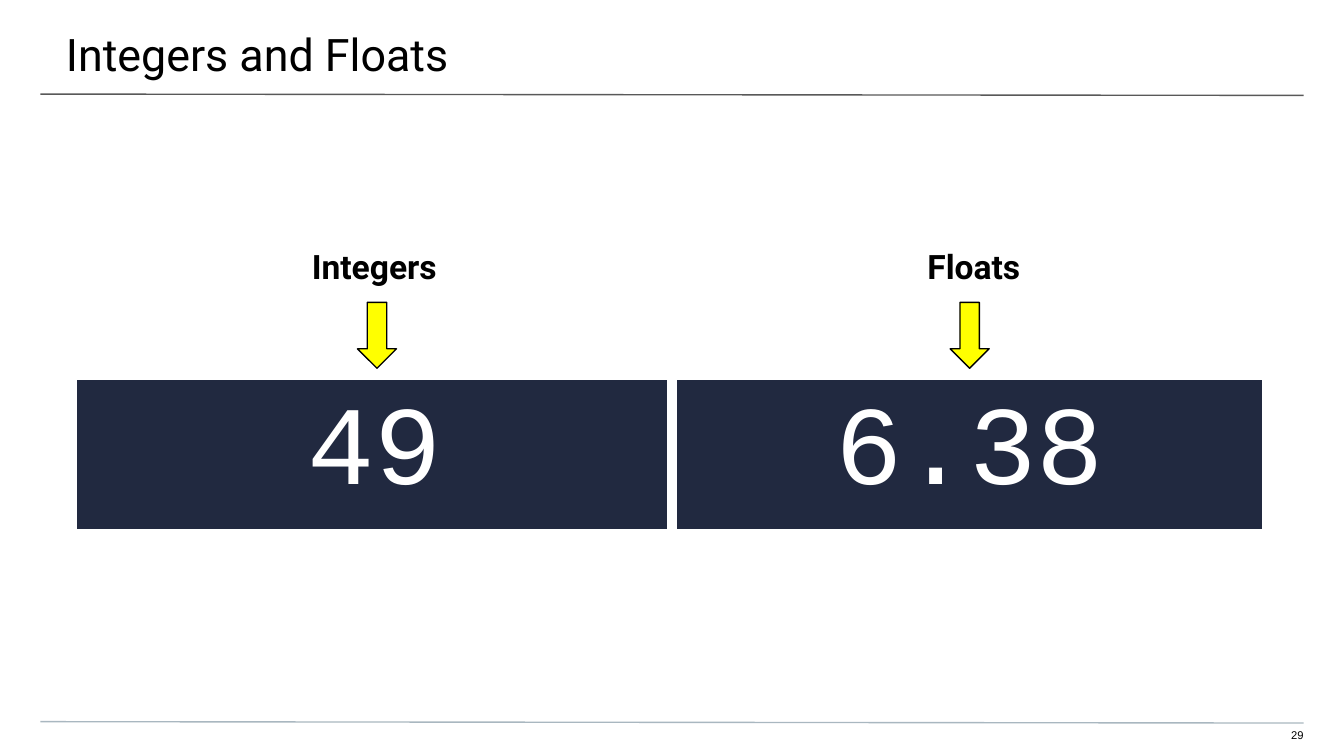
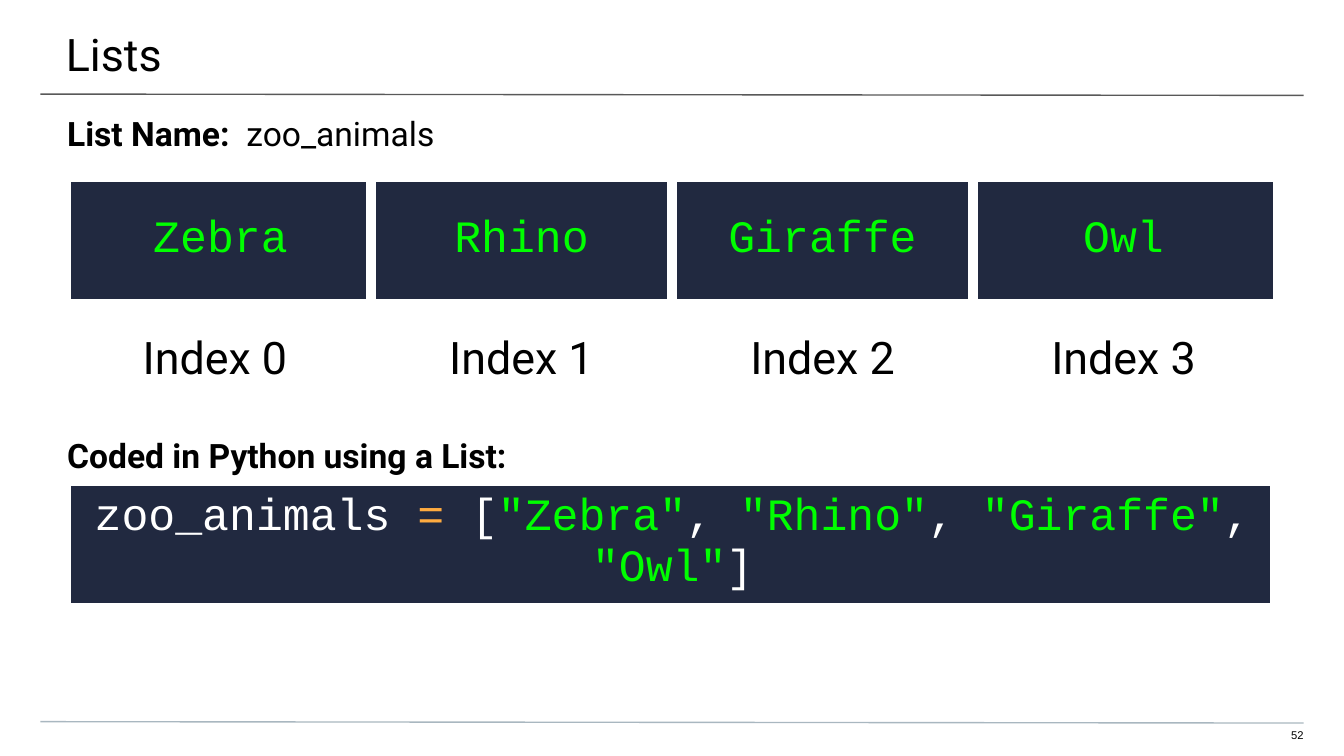
from dataclasses import dataclass
from typing import NamedTuple

from lxml import etree
from pptx import Presentation
from pptx import util as u
from pptx.dml.color import RGBColor
from pptx.enum import shapes, text
from pptx.oxml import ns

BLACK, WHITE, NAVY = "000000", "FFFFFF", "212940"
GREEN, ORANGE, YELLOW = "00FF00", "FFAB40", "FFFF00"
RULE_DARK, RULE_LIGHT = "595959", "A9B7C0"
SANS, MONO, PLAIN = "Roboto", "Courier New", "Arial"
THIN, GAP = 0.75, 6
LEFT, CENTER, RIGHT = text.PP_ALIGN.LEFT, text.PP_ALIGN.CENTER, text.PP_ALIGN.RIGHT
MIDDLE, BOTTOM = text.MSO_ANCHOR.MIDDLE, text.MSO_ANCHOR.BOTTOM


class Box(NamedTuple):
    left: float
    top: float
    width: float
    height: float


class Rule(NamedTuple):
    y: float
    color: str


@dataclass
class Run:
    text: str
    color: str = BLACK
    bold: bool = False


@dataclass
class CellStyle:
    size: float
    font: str = SANS
    anchor: object = MIDDLE
    top: float = 0
    bottom: float = 0
    fill: str | None = None


RULES = [Rule(0.7, RULE_DARK), Rule(5.37, RULE_LIGHT)]
HEADING = CellStyle(18, anchor=BOTTOM, top=0.1, bottom=0.68)
NUMBER = CellStyle(60, MONO, fill=NAVY)
CODE = CellStyle(24, MONO, fill=NAVY)
INDEX = CellStyle(24)


def rgb(color: str) -> RGBColor:
    return RGBColor.from_string(color)


def write(p, runs: list[Run], *, size: float, font: str = SANS, align=LEFT, before: float = 0) -> None:
    p.alignment = align
    p.space_before = u.Pt(before)
    for run in runs:
        r = p.add_run()
        r.text = run.text
        r.font.name = font
        r.font.size = u.Pt(size)
        r.font.bold = run.bold
        r.font.color.rgb = rgb(run.color)


def place(sp, box: Box) -> None:
    sp.left, sp.top, sp.width, sp.height = map(u.Inches, box)


def frame(sp, left: float, top: float, right: float, bottom: float):
    tf = sp.text_frame
    tf.word_wrap = True
    tf.auto_size = text.MSO_AUTO_SIZE.NONE
    tf.vertical_anchor = text.MSO_ANCHOR.TOP
    tf.margin_left, tf.margin_top = u.Inches(left), u.Inches(top)
    tf.margin_right, tf.margin_bottom = u.Inches(right), u.Inches(bottom)
    return tf


def add_rule(s, rule: Rule) -> None:
    sp = s.shapes.add_connector(
        shapes.MSO_CONNECTOR.STRAIGHT,
        u.Inches(0.3), u.Inches(rule.y), u.Inches(9.7), u.Inches(rule.y + 0.01),
    )
    sp.line.color.rgb = rgb(rule.color)
    sp.line.width = u.Pt(THIN)
    etree.SubElement(sp.element.spPr, ns.qn("a:effectLst"))


def add_slide(prs, title: str, number: int):
    s = prs.slides.add_slide(prs.slide_layouts[5])
    for rule in RULES:
        add_rule(s, rule)
    sp = s.shapes.title
    place(sp, Box(-0.01, 0, 10.03, 0.58))
    write(frame(sp, 0.5, 0.2, 0.3, 0.1).paragraphs[0], [Run(title)], size=24)
    sp = s.shapes.add_textbox(*map(u.Inches, Box(9.41, 5.42, 0.29, 0.12)))
    tf = frame(sp, 0, 0, 0, 0.1)
    write(tf.paragraphs[0], [Run(str(number))], size=6, font=PLAIN, align=RIGHT)
    return s


def set_borders(cell, left: float, right: float) -> None:
    tc_pr = cell._tc.get_or_add_tcPr()
    widths = {"lnL": left, "lnR": right, "lnT": THIN, "lnB": THIN}
    for i, (side, width) in enumerate(widths.items()):
        ln = etree.Element(ns.qn(f"a:{side}"), w=str(u.Pt(width)))
        fill = etree.SubElement(ln, ns.qn("a:solidFill"))
        etree.SubElement(fill, ns.qn("a:srgbClr"), val=WHITE)
        tc_pr.insert(i, ln)


def fill_cell(cell, runs: list[Run], style: CellStyle) -> None:
    cell.vertical_anchor = style.anchor
    cell.margin_left = cell.margin_right = u.Inches(0.1)
    cell.margin_top, cell.margin_bottom = u.Inches(style.top), u.Inches(style.bottom)
    write(cell.text_frame.paragraphs[0], runs, size=style.size, font=style.font, align=CENTER)
    if style.fill:
        cell.fill.solid()
        cell.fill.fore_color.rgb = rgb(style.fill)
    else:
        cell.fill.background()


def add_grid(s, left: float, top: float, col_width: float, heights: list[float],
             rows: list[list[list[Run]]], styles: list[CellStyle], end: float = GAP) -> None:
    cols = len(rows[0])
    box = Box(left, top, col_width * cols, sum(heights))
    table = s.shapes.add_table(len(rows), cols, *map(u.Inches, box)).table
    table.first_row = table.horz_banding = False
    for col in table.columns:
        col.width = u.Inches(col_width)
    for i, (height, row, style) in enumerate(zip(heights, rows, styles)):
        table.rows[i].height = u.Inches(height)
        for j, runs in enumerate(row):
            cell = table.cell(i, j)
            fill_cell(cell, runs, style)
            if style.fill:
                set_borders(cell, GAP if j else THIN, GAP if j < cols - 1 else end)


def add_down_arrow(s, left: float) -> None:
    box = Box(left, 2.25, 0.29, 0.49)
    sp = s.shapes.add_shape(shapes.MSO_SHAPE.UP_ARROW, *map(u.Inches, box))
    sp.rotation = 180
    sp.shadow.inherit = False
    sp.fill.solid()
    sp.fill.fore_color.rgb = rgb(YELLOW)
    sp.line.color.rgb = rgb(BLACK)
    sp.line.width = u.Pt(THIN)


def build_numbers(prs) -> None:
    s = add_slide(prs, "Integers and Floats", 29)
    rows = [
        [[Run("Integers", bold=True)], [Run(" Floats", bold=True)]],
        [[Run("49", WHITE)], [Run("6.38", WHITE)]],
        [[], []],
    ]
    add_grid(s, 0.57, 1.44, 4.43, [1.38, 1.12, 0.8], rows, [HEADING, NUMBER, INDEX])
    for left in (7.07, 2.66):
        add_down_arrow(s, left)


def build_lists(prs) -> None:
    s = add_slide(prs, "Lists", 52)
    animals = ["Zebra", "Rhino", "Giraffe", "Owl"]
    sp = s.shapes.add_textbox(*map(u.Inches, Box(0, 0.74, 10, 3.24)))
    tf = frame(sp, 0.5, 0.1, 0.5, 0)
    write(tf.paragraphs[0], [Run("List Name:", bold=True), Run("  zoo_animals")], size=18)
    write(tf.add_paragraph(), [Run("Coded in Python using a List:", bold=True)], size=18, before=151)

    rows = [
        [[Run(animal, GREEN)] for animal in animals],
        [[Run(f"Index {i}" + ("" if i else " "))] for i in range(len(animals))],
    ]
    add_grid(s, 0.52, 1.35, 2.24, [0.88, 0.88], rows, [CODE, INDEX], end=THIN)

    code = [Run("zoo_animals ", WHITE), Run("=", ORANGE), Run(" [", WHITE)]
    for animal in animals:
        code += [Run(f'"{animal}"', GREEN), Run("]" if animal == animals[-1] else ", ", WHITE)]
    add_grid(s, 0.52, 3.61, 8.97, [0.88], [[code]], [CODE])


def main() -> None:
    prs = Presentation()
    prs.slide_width = u.Inches(10)
    prs.slide_height = prs.slide_width * 9 // 16
    build_numbers(prs)
    build_lists(prs)
    prs.save("out.pptx")


if __name__ == "__main__":
    main()
